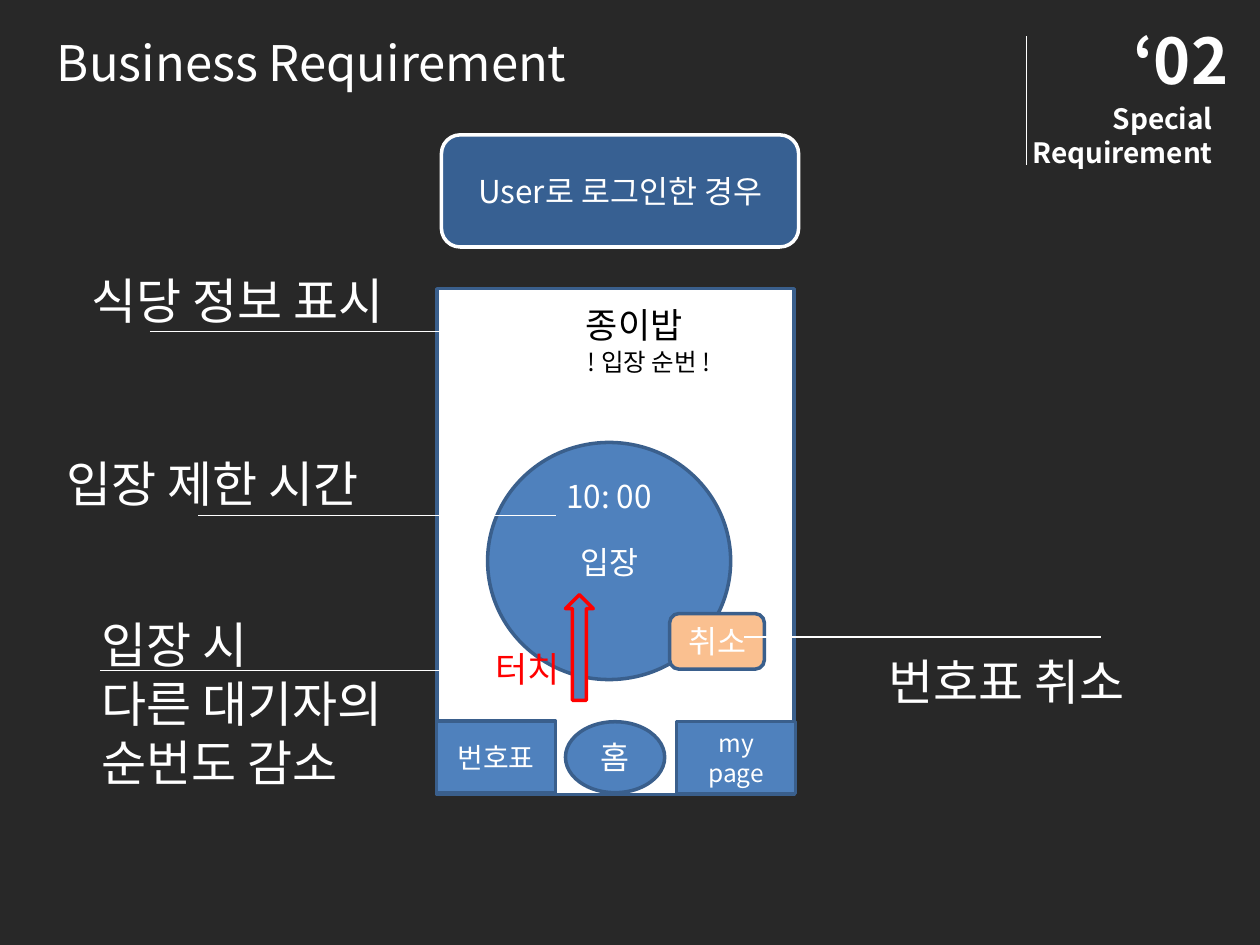
from lxml import etree
from pptx import Presentation
from pptx.dml.color import RGBColor
from pptx.enum.shapes import MSO_CONNECTOR, MSO_SHAPE
from pptx.enum.text import MSO_ANCHOR, PP_ALIGN
from pptx.oxml.ns import qn
from pptx.util import Cm, Pt

RECTANGLE = MSO_SHAPE.RECTANGLE
ROUNDED = MSO_SHAPE.ROUNDED_RECTANGLE
OVAL = MSO_SHAPE.OVAL
UP_ARROW = MSO_SHAPE.UP_ARROW
STRAIGHT = MSO_CONNECTOR.STRAIGHT
TOP, MIDDLE = MSO_ANCHOR.TOP, MSO_ANCHOR.MIDDLE
LEFT, CENTER, RIGHT = PP_ALIGN.LEFT, PP_ALIGN.CENTER, PP_ALIGN.RIGHT

FONT = "Noto Sans CJK KR"
CHARCOAL = RGBColor(0x28, 0x28, 0x28)
WHITE = RGBColor(0xFF, 0xFF, 0xFF)
BLACK = RGBColor(0x00, 0x00, 0x00)
RED = RGBColor(0xFF, 0x00, 0x00)
BLUE = RGBColor(0x4F, 0x81, 0xBD)
EDGE = RGBColor(0x3A, 0x5F, 0x8C)
NAVY = RGBColor(0x37, 0x60, 0x92)
PEACH = RGBColor(0xFA, 0xC0, 0x90)

CALLOUT_WIDTH = 13.4
LEADER_LENGTH = 7.2


def write_text(frame, text, size=18, color=WHITE, bold=False, align=LEFT, gap=0):
    """Fill a text frame with one paragraph per line of text."""
    frame.word_wrap = True
    for index, line in enumerate(text.split("\n")):
        para = frame.paragraphs[0] if index == 0 else frame.add_paragraph()
        para.alignment = align
        if index and gap:
            para.space_before = Pt(gap)
        span = para.add_run()
        span.text = line
        span.font.name = FONT
        span.font.size = Pt(size)
        span.font.bold = bold
        span.font.color.rgb = color
        east_asian = etree.SubElement(span.font._element, qn("a:ea"))
        east_asian.set("typeface", FONT)


def add_label(page, text, left, top, width, height, **text_format):
    """Add a text box whose lengths are in centimetres."""
    box = page.shapes.add_textbox(Cm(left), Cm(top), Cm(width), Cm(height))
    write_text(box.text_frame, text, **text_format)


def add_block(page, kind, left, top, width, height, text="", fill=BLUE, edge=EDGE, **text_format):
    """Add an outlined preset shape with centred text and return it."""
    block = page.shapes.add_shape(kind, Cm(left), Cm(top), Cm(width), Cm(height))
    block.shadow.inherit = False
    block.fill.solid()
    block.fill.fore_color.rgb = fill
    block.line.color.rgb = edge
    block.line.width = Pt(2)
    block.text_frame.vertical_anchor = MIDDLE
    if text:
        write_text(block.text_frame, text, align=CENTER, **text_format)
    return block


def add_rule(page, left, top, width=0, height=0):
    """Add a thin white straight line."""
    rule = page.shapes.add_connector(STRAIGHT, Cm(left), Cm(top), Cm(left + width), Cm(top + height))
    rule.line.color.rgb = WHITE
    rule.line.width = Pt(0.75)
    etree.SubElement(rule._element.spPr, qn("a:effectLst"))


def add_callout(page, text, left, top, rule_left, rule_top, height=1.45):
    """Add a large note with its leader line."""
    add_rule(page, rule_left, rule_top, width=LEADER_LENGTH)
    add_label(page, text, left, top, CALLOUT_WIDTH, height, size=28)


def add_header(page):
    """Add the title and the section mark."""
    add_label(page, "Business Requirement", 0.9, 0.53, CALLOUT_WIDTH, 1.45, size=28)
    add_label(page, "‘02", 22.6, 0.3, 2.9, 1.8, size=36, bold=True)
    add_label(page, "Special\nRequirement", 19.9, 1.93, 4.8, 1.6, size=16, bold=True, align=RIGHT)
    add_rule(page, 20.7, 0.73, height=2.6)


def add_phone(page):
    """Add the phone screen with its navigation bar and heading."""
    add_block(page, RECTANGLE, 8.81, 5.82, 7.2, 10.2, fill=WHITE)
    add_block(page, RECTANGLE, 8.8, 14.54, 2.4, 1.45, "번호표", size=16)
    add_block(page, RECTANGLE, 13.64, 14.55, 2.4, 1.45, "my\npage", size=14)
    add_block(page, OVAL, 11.4, 14.55, 2, 1.43, "홈")
    add_label(page, "종이밥", 11.56, 6, 2.6, 1.11, size=20, color=BLACK)
    add_label(page, "! 입장 순번 !", 11.6, 6.88, 7.2, 0.85, size=14, color=BLACK)


def main():
    """Build the slide and save the deck."""
    deck = Presentation()
    deck.slide_width, deck.slide_height = Cm(25.4), Cm(19.05)
    page = deck.slides.add_slide(deck.slide_layouts[6])
    page.background.fill.solid()
    page.background.fill.fore_color.rgb = CHARCOAL

    add_header(page)
    add_phone(page)
    add_callout(page, "식당 정보 표시", 1.6, 5.33, 3.02, 6.68)
    add_callout(page, "입장 시\n다른 대기자의\n순번도 감소", 1.8, 12.27, 2.02, 13.51, height=3.83)

    timer = add_block(page, OVAL, 9.83, 8.92, 4.9, 4.78, "10: 00\n입장", gap=16)
    timer.text_frame.vertical_anchor = TOP
    timer.text_frame.margin_top = Cm(0)
    add_callout(page, "입장 제한 시간", 1.1, 9.02, 4, 10.39)

    add_block(page, ROUNDED, 13.5, 12.37, 1.91, 1.12, "취소", fill=PEACH)
    add_callout(page, "번호표 취소", 17.66, 13, 15, 12.84)
    add_block(page, UP_ARROW, 11.4, 11.99, 0.56, 2.13, edge=RED)
    add_label(page, "터치", 9.73, 12.93, CALLOUT_WIDTH, 1.11, size=20, color=RED)
    add_block(page, ROUNDED, 8.9, 2.72, 7.2, 2.26, "User로 로그인한 경우", fill=NAVY, edge=WHITE)

    deck.save("out.pptx")


if __name__ == "__main__":
    main()
